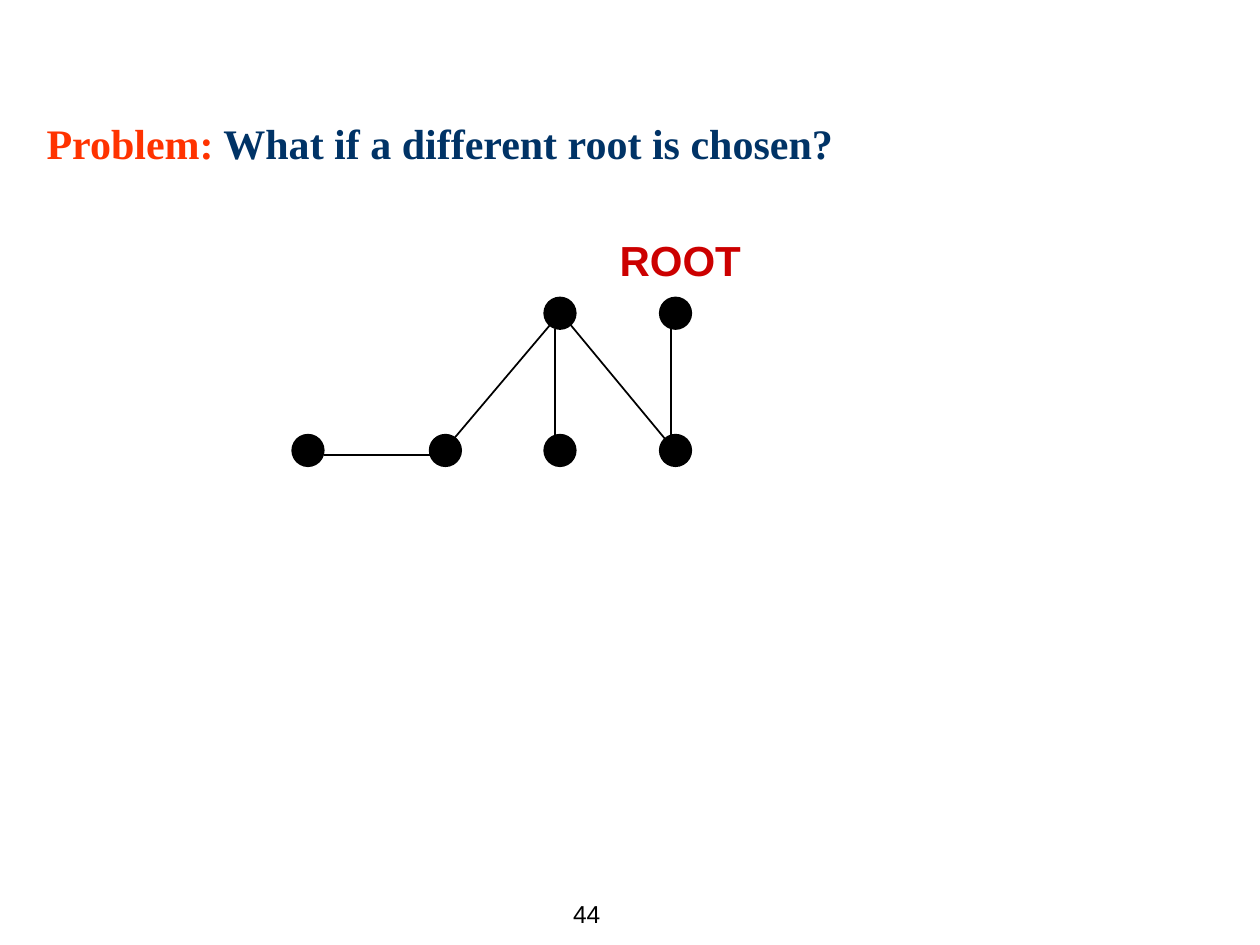
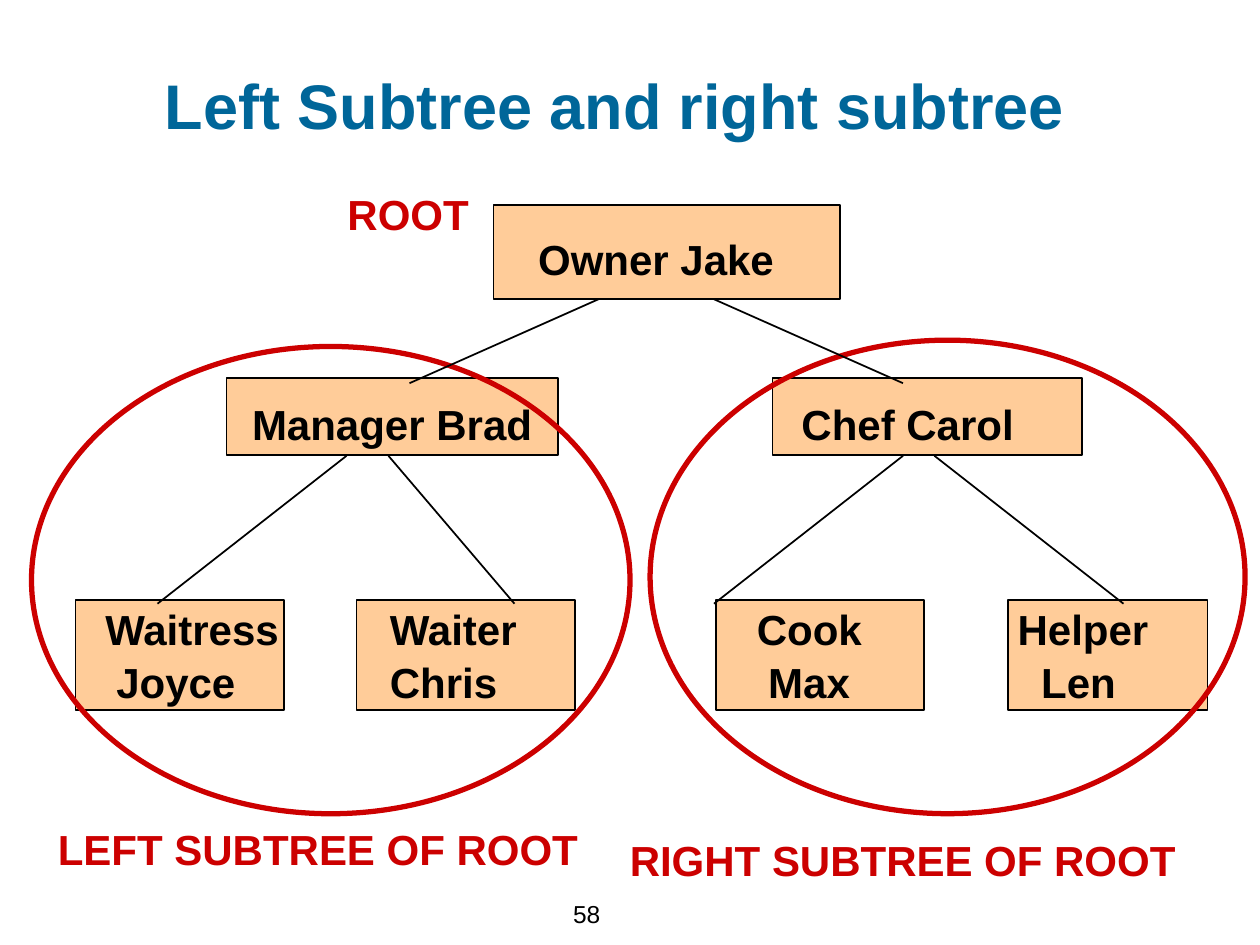
from collections import namedtuple
from dataclasses import dataclass
from pptx import Presentation
from pptx import util as u
from pptx.dml.color import RGBColor
from pptx.enum import shapes, text
from pptx.oxml.ns import qn
from lxml import etree


@dataclass(frozen=True)
class Theme:
    ink: str = "000000"
    accent: str = "CC0000"
    staff_fill: str = "FFCC99"
    heading: str = "006699"
    problem: str = "FF3300"
    question: str = "003366"
    sans: str = "Arial"
    serif: str = "Times New Roman"
    heading_size: float = 36
    label_size: float = 24
    number_size: float = 14
    thin: float = 1
    thick: float = 3


THEME = Theme()
Box = namedtuple("Box", "left top width height")
Staff = namedtuple("Staff", "box lines inset second_indent")


def within(region, part):
    return Box(region.left + part.left, region.top + part.top, part.width, part.height)


def points(values):
    return [u.Pt(value) for value in values]


def style_font(font, colour, size, name=THEME.sans, bold=True):
    font.name, font.size, font.bold = name, u.Pt(size), bold
    font.color.rgb = RGBColor.from_string(colour)


def add_outline(parent, preset, box, colour, width, fill=None):
    outline = parent.add_shape(preset, *points(box))
    outline.shadow.inherit = False
    outline.line.color.rgb = RGBColor.from_string(colour)
    outline.line.width = u.Pt(width)
    if fill:
        outline.fill.solid()
        outline.fill.fore_color.rgb = RGBColor.from_string(fill)
    else:
        outline.fill.background()
    return outline


def add_edge(parent, region, start, end):
    ends = [region.left + start[0], region.top + start[1],
            region.left + end[0], region.top + end[1]]
    edge = parent.add_connector(shapes.MSO_CONNECTOR.STRAIGHT, *points(ends))
    edge.line.color.rgb = RGBColor.from_string(THEME.ink)
    edge.line.width = u.Pt(THEME.thin)
    properties = edge._element.find(qn("p:spPr"))
    etree.SubElement(properties, qn("a:effectLst"))


def add_label(parent, box, wording, colour=THEME.accent, size=THEME.label_size,
              bold=True, anchor=text.MSO_ANCHOR.TOP):
    frame = parent.add_textbox(*points(box)).text_frame
    frame.word_wrap = False
    frame.vertical_anchor = anchor
    frame.text = wording
    style_font(frame.paragraphs[0].font, colour, size, bold=bold)


def add_page_number(slide, number):
    add_label(slide.shapes, Box(320.4, 504, 48, 36), number, THEME.ink,
              THEME.number_size, False, text.MSO_ANCHOR.MIDDLE)


def place_title(slide, box, alignment):
    title = slide.shapes.title
    title.left, title.top, title.width, title.height = points(box)
    frame = title.text_frame
    frame.word_wrap = True
    frame.auto_size = text.MSO_AUTO_SIZE.NONE
    frame.vertical_anchor = text.MSO_ANCHOR.TOP
    heading = frame.paragraphs[0]
    heading.alignment = alignment
    return heading


def draw_rooted_graph(slide, region):
    graph = slide.shapes.add_group_shape().shapes
    diameter, upper, lower = 18, 42, 120.4
    columns = [0, 78.5, 144, 210]
    nodes = {
        "end": (columns[0], lower), "left": (columns[1], lower),
        "hub": (columns[2], upper), "middle": (columns[2], lower),
        "root": (columns[3], upper), "right": (columns[3], lower),
    }
    edges = [
        ("end", (18, 11.6), "left", (0, 11.6)),
        ("hub", (6.3, 18), "middle", (6.3, 0)),
        ("root", (6.3, 18), "right", (6.3, 0)),
        ("hub", (12.2, 12.2), "right", (6, 6)),
        ("hub", (6.3, 12.2), "left", (6, 11.6)),
    ]
    for x, y in nodes.values():
        add_outline(graph, shapes.MSO_SHAPE.OVAL,
                    within(region, Box(x, y, diameter, diameter)),
                    THEME.ink, THEME.thin, THEME.ink)
    for source, leave, target, arrive in edges:
        start = [a + b for a, b in zip(nodes[source], leave)]
        end = [a + b for a, b in zip(nodes[target], arrive)]
        add_edge(graph, region, start, end)
    add_label(graph, within(region, Box(180, 2.4, 83.5, 36)), "ROOT")


def draw_staff(slide, region, staff):
    card = add_outline(slide.shapes, shapes.MSO_SHAPE.RECTANGLE,
                       within(region, staff.box), THEME.ink, THEME.thin, THEME.staff_fill)
    frame = card.text_frame
    frame.word_wrap = True
    frame.vertical_anchor = text.MSO_ANCHOR.MIDDLE
    frame.margin_left = u.Pt(staff.inset)
    frame.margin_right = frame.margin_bottom = 0
    frame.margin_top = u.Pt(8 if len(staff.lines) == 1 else 0)
    frame.text = "\n".join(staff.lines)
    for index, line in enumerate(frame.paragraphs):
        line.alignment = text.PP_ALIGN.LEFT
        if index:
            line.space_before = u.Pt(1.5)
            line._p.get_or_add_pPr().set("marL", str(u.Pt(staff.second_indent)))
        style_font(line.font, THEME.ink, THEME.label_size)


def draw_subtree(slide, region, members, edges, caption, caption_box):
    for staff in members:
        draw_staff(slide, region, staff)
    for start, end in edges:
        add_edge(slide.shapes, region, start, end)
    add_outline(slide.shapes, shapes.MSO_SHAPE.OVAL, region, THEME.accent, THEME.thick)
    add_label(slide.shapes, within(region, caption_box), caption)


def draw_root(slide, region):
    draw_staff(slide, region, Staff(Box(90.5, 13, 198, 54), ["Owner Jake"], 25.5, 0))
    for start_x, end_x in [(150.5, 42.5), (216.5, 324.5)]:
        add_edge(slide.shapes, region, (start_x, 67), (end_x, 115))
    add_label(slide.shapes, within(region, Box(0, 0, 83.5, 36)), "ROOT")


def build_problem_slide(slide):
    heading = place_title(slide, Box(19.4, 63.6, 648, 61), text.PP_ALIGN.LEFT)
    for wording, colour in [("Problem:", THEME.problem),
                            (" What if a different root is chosen?", THEME.question)]:
        part = heading.add_run()
        part.text = wording
        style_font(part.font, colour, THEME.label_size, THEME.serif)
    draw_rooted_graph(slide, Box(167, 128, 228, 138.4))
    add_page_number(slide, "44")


def build_subtree_slide(slide):
    heading = place_title(slide, Box(70.5, 34.5, 561.6, 50.4), text.PP_ALIGN.CENTER)
    heading.text = "Left Subtree and right subtree"
    style_font(heading.font, THEME.heading, THEME.heading_size)
    draw_subtree(
        slide, Box(18, 198, 342, 267),
        [Staff(Box(111.5, 18, 189.5, 44), ["Manager Brad"], 14.5, 0),
         Staff(Box(25.2, 145, 119, 62.6), ["Waitress", "Joyce"], 17, 6.3),
         Staff(Box(185.8, 145, 124.6, 62.6), ["Waiter", "Chris"], 19, 0)],
        [((180, 62.5), (72, 147)), ((204, 62.5), (276, 147))],
        "LEFT SUBTREE OF ROOT", Box(8, 269, 311.8, 36))
    draw_subtree(
        slide, Box(371.5, 194.4, 340, 270.6),
        [Staff(Box(70, 21.6, 177, 44), ["Chef Carol"], 16.5, 0),
         Staff(Box(37.5, 148.6, 119, 62.6), ["Cook", "Max"], 23.5, 6.5),
         Staff(Box(204.5, 148.6, 114, 62.6), ["Helper", "Len"], 5.5, 13.5)],
        [((144.5, 66.1), (36.5, 150.6)), ((162.5, 66.1), (270.5, 150.6))],
        "RIGHT SUBTREE OF ROOT", Box(-18.7, 279, 354, 36))
    draw_root(slide, Box(191.5, 104, 324.5, 115))
    add_page_number(slide, "58")


def main():
    deck = Presentation()
    deck.slide_width, deck.slide_height = u.Pt(720), u.Pt(540)
    title_only = deck.slide_layouts[5]
    for build in (build_problem_slide, build_subtree_slide):
        build(deck.slides.add_slide(title_only))
    deck.save("out.pptx")


if __name__ == "__main__":
    main()
